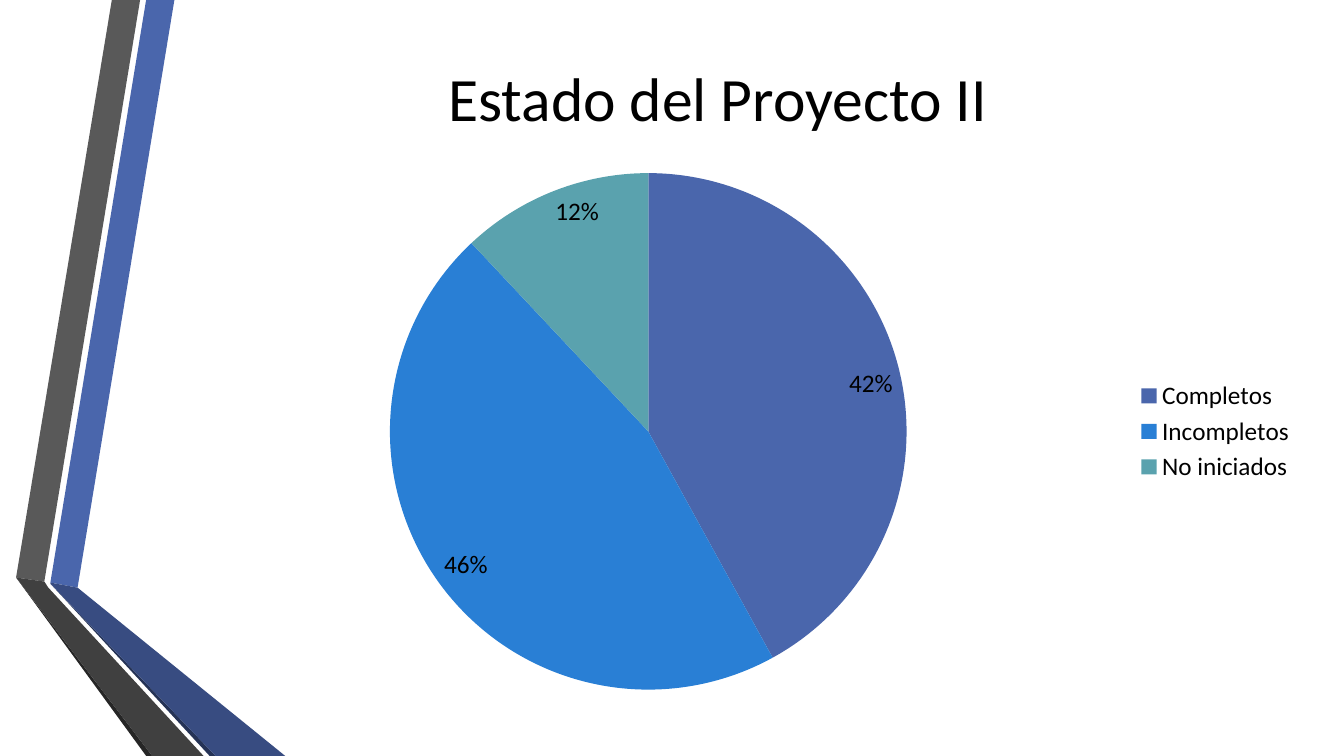
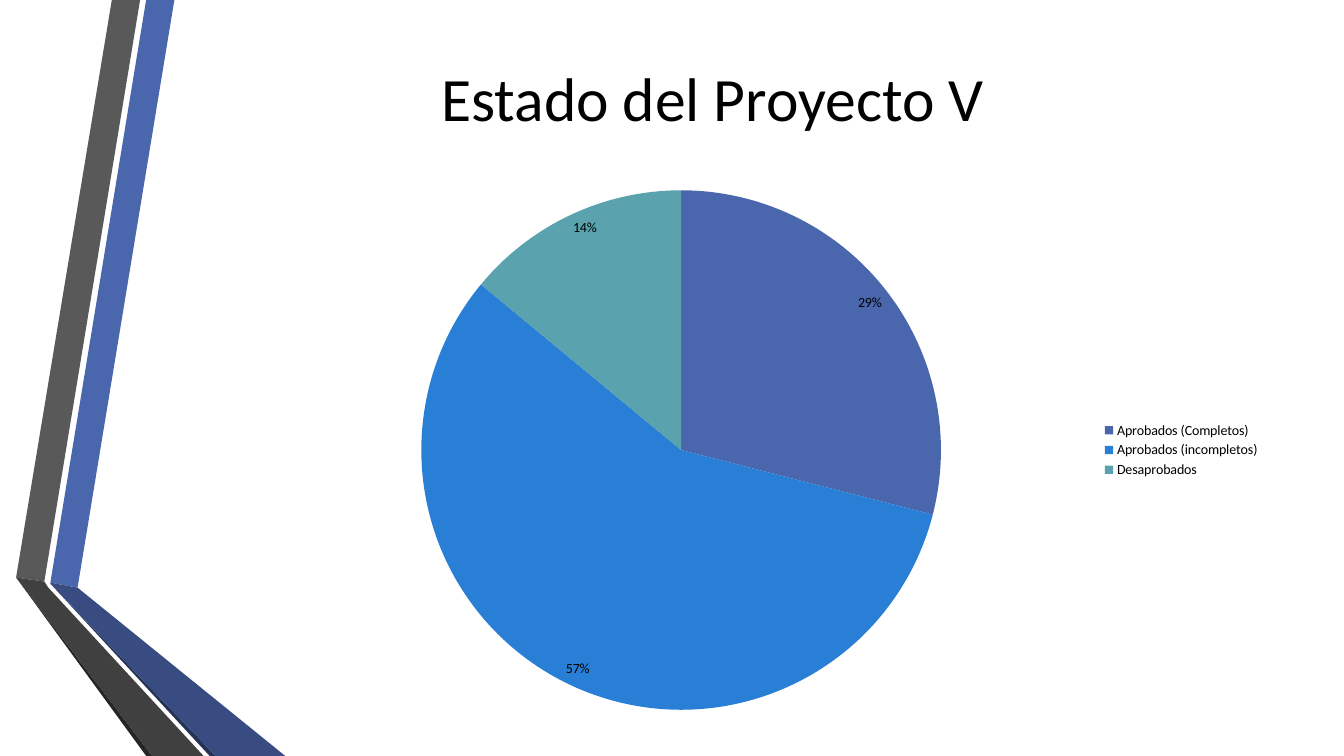
from pptx import Presentation
from pptx.chart.data import CategoryChartData
from pptx.dml.color import RGBColor
from pptx.enum.chart import XL_CHART_TYPE, XL_LABEL_POSITION, XL_LEGEND_POSITION
from pptx.enum.text import MSO_ANCHOR, PP_ALIGN
from pptx.util import Inches, Pt

FONT = "Calibri"
BLACK = RGBColor(0x00, 0x00, 0x00)
BLUE = RGBColor(0x4A, 0x66, 0xAC)
DARK_BLUE = RGBColor(0x38, 0x4C, 0x81)
DEEP_BLUE = RGBColor(0x25, 0x33, 0x56)
GRAY = RGBColor(0x59, 0x59, 0x59)
DARK_GRAY = RGBColor(0x40, 0x40, 0x40)
DEEP_GRAY = RGBColor(0x26, 0x26, 0x26)
BRIGHT_BLUE = RGBColor(0x29, 0x7F, 0xD5)
TEAL = RGBColor(0x5A, 0xA2, 0xAE)
SLICE_COLORS = (BLUE, BRIGHT_BLUE, TEAL)

# Folded ribbons on the left edge: fill and corner points in inches
RIBBONS = (
    (BLUE, ((0.5, 5.78), (0.77, 5.83), (1.73, 0), (1.45, 0))),
    (GRAY, ((1.39, 0), (1.11, 0), (0.16, 5.73), (0.44, 5.77))),
    (DEEP_GRAY, ((0.16, 5.73), (1.45, 7.5), (1.51, 7.5))),
    (DEEP_BLUE, ((0.5, 5.79), (2.08, 7.5), (2.14, 7.5))),
    (DARK_BLUE, ((0.5, 5.78), (0.5, 5.79), (2.14, 7.5), (2.83, 7.5), (0.77, 5.83))),
    (DARK_GRAY, ((2.02, 7.5), (0.48, 5.83), (0.44, 5.77), (0.16, 5.73), (1.51, 7.5))),
)


class Deck:
    """Holds the shared style and the current slide."""

    def __init__(self):
        self.presentation = Presentation()
        self.presentation.slide_width = Inches(13.33)
        self.presentation.slide_height = Inches(7.5)
        self.slide = None

    def add_slide(self):
        layout = self.presentation.slide_layouts.get_by_name("Title Only")
        self.slide = self.presentation.slides.add_slide(layout)
        self.add_ribbons()

    def add_ribbons(self):
        group = self.slide.shapes.add_group_shape()
        for color, corners in RIBBONS:
            points = [(Inches(x), Inches(y)) for x, y in corners]
            builder = group.shapes.build_freeform(*points[0])
            builder.add_line_segments(points[1:], close=True)
            shape = builder.convert_to_shape()
            shape.shadow.inherit = False
            shape.fill.solid()
            shape.fill.fore_color.rgb = color
            shape.line.fill.background()

    def style_font(self, font, size):
        font.name = FONT
        font.size = Pt(size)
        font.color.rgb = BLACK

    def add_title(self, text, left):
        title = self.slide.shapes.title
        title.left, title.top = Inches(left), Inches(0)
        title.width, title.height = Inches(10.96), Inches(1.92)
        title.text_frame.text = text
        title.text_frame.vertical_anchor = MSO_ANCHOR.MIDDLE
        paragraph = title.text_frame.paragraphs[0]
        paragraph.alignment = PP_ALIGN.CENTER
        self.style_font(paragraph.font, 44)

    def add_pie(self, shares, box, size):
        data = CategoryChartData(number_format="0")
        data.categories = list(shares)
        data.add_series("Series 1", list(shares.values()))
        frame = self.slide.shapes.add_chart(
            XL_CHART_TYPE.PIE, *(Inches(length) for length in box), data)
        chart = frame.chart
        chart.has_title = False
        self.style_font(chart.font, size)

        # Legend on the right
        chart.has_legend = True
        chart.legend.position = XL_LEGEND_POSITION.RIGHT
        chart.legend.include_in_layout = False
        self.style_font(chart.legend.font, size)

        # Slices and percentage labels
        plot = chart.plots[0]
        plot.vary_by_categories = True
        for index, color in enumerate(SLICE_COLORS):
            fill = plot.series[0].points[index].format.fill
            fill.solid()
            fill.fore_color.rgb = color
        plot.has_data_labels = True
        labels = plot.data_labels
        labels.show_value = False
        labels.show_percentage = True
        labels.number_format = "0%"
        labels.number_format_is_linked = False
        labels.position = XL_LABEL_POSITION.INSIDE_END
        self.style_font(labels.font, size)


def main():
    deck = Deck()

    # Project II
    deck.add_slide()
    deck.add_title("Estado del Proyecto II", 1.64)
    deck.add_pie({"Completos": 42, "Incompletos": 46, "No iniciados": 12},
                 (1.62, 1.58, 11.33, 5.4), 18)

    # Project V
    deck.add_slide()
    deck.add_title("Estado del Proyecto V", 1.59)
    deck.add_pie({"Aprobados (Completos)": 29, "Aprobados (incompletos)": 57,
                  "Desaprobados": 14},
                 (2.6, 1.75, 10, 5.43), 10)

    deck.presentation.save("out.pptx")


if __name__ == "__main__":
    main()
